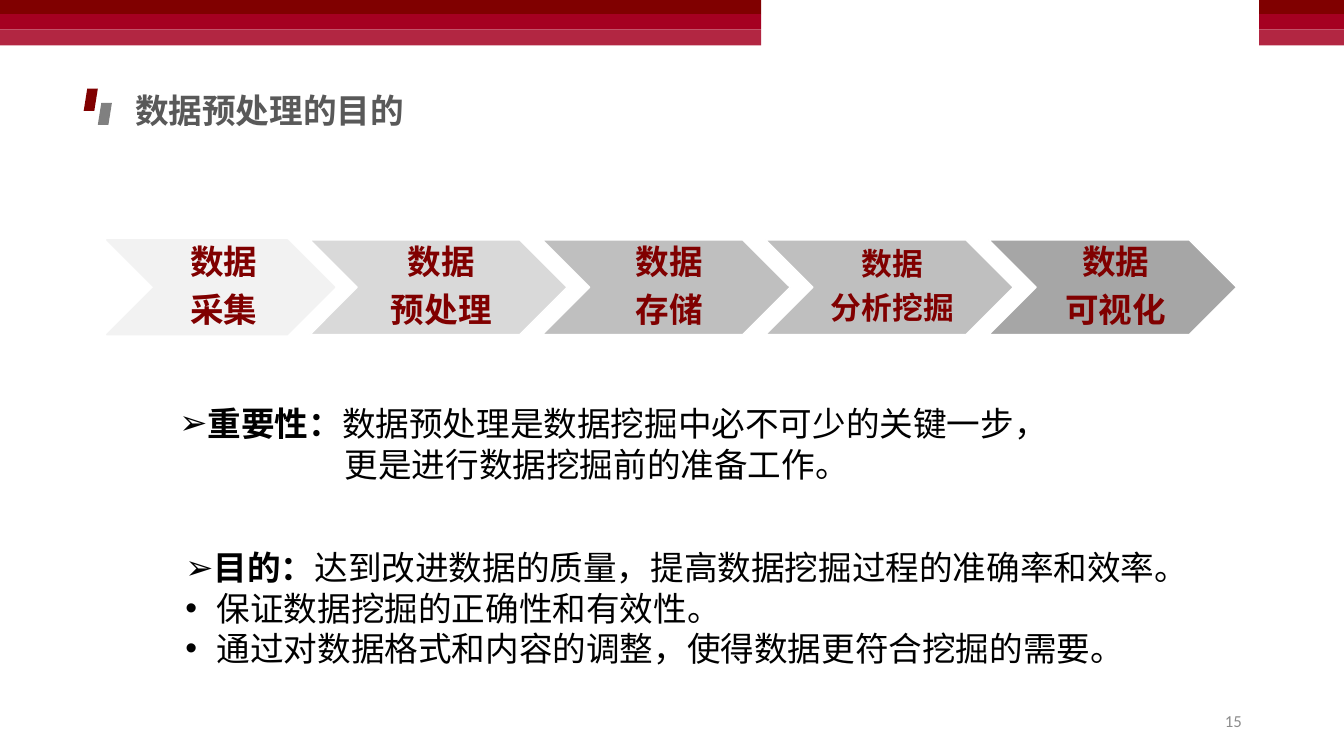
import dataclasses
import itertools
import typing

import lxml.etree
import pptx
import pptx.dml.color
import pptx.enum.lang
import pptx.enum.shapes
import pptx.enum.text
import pptx.oxml.ns
import pptx.util

SLIDE_WIDTH = pptx.util.Inches(13.333)
SLIDE_HEIGHT = pptx.util.Inches(7.5)
SHAPE = pptx.enum.shapes.MSO_SHAPE
ALIGN = pptx.enum.text.PP_ALIGN
ANCHOR = pptx.enum.text.MSO_ANCHOR
COLORS = {
    "maroon": "800000", "crimson": "A50021", "rose": "B22642",
    "gray": "808080", "heading": "595959", "number": "8C8C8C",
    "black": "000000", "white": "FFFFFF", "step1": "F2F2F2",
    "step2": "D9D9D9", "step3": "BFBFBF", "step4": "BFBFBF", "step5": "A6A6A6",
}


@dataclasses.dataclass
class Box:
    """A rectangle in percent of the slide's width and height."""
    left: float
    top: float
    width: float
    height: float

    def lengths(self) -> tuple[int, int, int, int]:
        return (round(SLIDE_WIDTH * self.left / 100),
                round(SLIDE_HEIGHT * self.top / 100),
                round(SLIDE_WIDTH * self.width / 100),
                round(SLIDE_HEIGHT * self.height / 100))


@dataclasses.dataclass
class Step:
    name: str
    width: float
    fill: str
    line: str = "white"
    size: float = 24


@dataclasses.dataclass
class Item:
    text: str
    label: str = ""
    bullet: str = ""
    margin: float = 0
    indent: float = 0


STEPS = [
    Step("采集", 16.95, "step1", line="step1"),
    Step("预处理", 19.13, "step2"),
    Step("存储", 18.45, "step3"),
    Step("分析挖掘", 18.45, "step4", size=22),
    Step("可视化", 18.45, "step5"),
]
STEP_OVERLAP = 1.84
IMPORTANCE = [
    Item("数据预处理是数据挖掘中必不可少的关键一步，", "重要性：", "➢"),
    Item("更是进行数据挖掘前的准备工作。", margin=1.64),
]
PURPOSE = [
    Item("达到改进数据的质量，提高数据挖掘过程的准确率和效率。", "目的：", "➢"),
    Item("保证数据挖掘的正确性和有效性。", bullet="•", margin=0.31, indent=-0.31),
    Item("通过对数据格式和内容的调整，使得数据更符合挖掘的需要。",
         bullet="•", margin=0.31, indent=-0.31),
]


def rgb(name: str) -> pptx.dml.color.RGBColor:
    return pptx.dml.color.RGBColor.from_string(COLORS[name])


def add_text(paragraph: typing.Any, text: str, *, size: float = 24,
             color: str = "black", bold: bool = False, font: str = "Calibri",
             align: typing.Any = ALIGN.LEFT) -> typing.Any:
    paragraph.alignment = align
    run = paragraph.add_run()
    run.text = text
    run.font.name = font
    run.font.size = pptx.util.Pt(size)
    run.font.bold = bold
    run.font.color.rgb = rgb(color)
    run.font.language_id = pptx.enum.lang.MSO_LANGUAGE_ID.SIMPLIFIED_CHINESE
    return run


def add_filled(slide: typing.Any, kind: typing.Any, box: Box, fill: str,
               line: str = "") -> typing.Any:
    shape = slide.shapes.add_shape(kind, *box.lengths())
    shape.shadow.inherit = False
    shape.fill.solid()
    shape.fill.fore_color.rgb = rgb(fill)
    if line:
        shape.line.color.rgb = rgb(line)
        shape.line.width = pptx.util.Pt(1)
    else:
        shape.line.fill.background()
    return shape


def move(shape: typing.Any, box: Box) -> None:
    shape.left, shape.top, shape.width, shape.height = box.lengths()


def set_bullet(paragraph: typing.Any, item: Item) -> None:
    properties = paragraph._p.get_or_add_pPr()
    properties.set("marL", str(pptx.util.Inches(item.margin)))
    properties.set("indent", str(pptx.util.Inches(item.indent)))
    qn = pptx.oxml.ns.qn
    if item.bullet:
        lxml.etree.SubElement(properties, qn("a:buFont"), typeface="Arial")
        lxml.etree.SubElement(properties, qn("a:buChar"), char=item.bullet)
    else:
        lxml.etree.SubElement(properties, qn("a:buNone"))


def fill_list(placeholder: typing.Any, box: Box, items: list[Item]) -> None:
    move(placeholder, box)
    frame = placeholder.text_frame
    frame.word_wrap = True
    frame.auto_size = pptx.enum.text.MSO_AUTO_SIZE.NONE
    for index, item in enumerate(items):
        paragraph = frame.add_paragraph() if index else frame.paragraphs[0]
        set_bullet(paragraph, item)
        paragraph.space_before = pptx.util.Pt(0)
        if item.label:
            add_text(paragraph, item.label, bold=True)
        add_text(paragraph, item.text)


def add_bands(slide: typing.Any) -> None:
    heights = [1.87, 2.07, 2.07]
    tops = itertools.accumulate(heights[:-1], initial=0)
    for top, height, color in zip(tops, heights, ("maroon", "crimson", "rose")):
        for left, width in ((0, 56.63), (93.68, 6.32)):
            add_filled(slide, SHAPE.RECTANGLE, Box(left, top, width, height), color)


def add_heading(slide: typing.Any) -> None:
    for index, color in enumerate(("maroon", "gray")):
        mark = Box(6.23 + 1.05 * index, 11.73 + 1.87 * index, 1.05, 2.93)
        add_filled(slide, SHAPE.PARALLELOGRAM, mark, color)
    title = slide.shapes.title
    move(title, Box(9.3, 11.2, 30.9, 6.67))
    title.text_frame.vertical_anchor = ANCHOR.MIDDLE
    title.text_frame.auto_size = pptx.enum.text.MSO_AUTO_SIZE.NONE
    run = add_text(title.text_frame.paragraphs[0], "数据预处理的目的",
                   color="heading", bold=True, font="Noto Sans CJK SC")
    lxml.etree.SubElement(run.font._element, pptx.oxml.ns.qn("a:ea"),
                          typeface="Noto Sans CJK SC")


def add_steps(slide: typing.Any) -> None:
    left = 7.95
    for step in STEPS:
        chevron = add_filled(slide, SHAPE.CHEVRON, Box(left, 31.73, step.width, 12.53),
                             step.fill, step.line)
        frame = chevron.text_frame
        frame.word_wrap = True
        frame.vertical_anchor = ANCHOR.MIDDLE
        frame.margin_left = pptx.util.Inches(0.1)
        frame.margin_right = frame.margin_top = frame.margin_bottom = pptx.util.Inches(0.04)
        for paragraph, text in ((frame.paragraphs[0], "数据"),
                                (frame.add_paragraph(), step.name)):
            paragraph.line_spacing = 0.9
            paragraph.space_after = pptx.util.Pt(step.size * 0.35)
            add_text(paragraph, text, size=step.size, color="maroon", bold=True,
                     align=ALIGN.CENTER)
        left += step.width - STEP_OVERLAP


def add_slide_number(slide: typing.Any) -> None:
    frame = slide.shapes.add_textbox(*Box(70.65, 92.67, 22.5, 5.33).lengths()).text_frame
    frame.word_wrap = True
    frame.vertical_anchor = ANCHOR.MIDDLE
    add_text(frame.paragraphs[0], "15", size=12, color="number", align=ALIGN.RIGHT)


def main() -> None:
    presentation = pptx.Presentation()
    presentation.slide_width = SLIDE_WIDTH
    presentation.slide_height = SLIDE_HEIGHT
    two_content = presentation.slide_layouts.get_by_name("Two Content")
    slide = presentation.slides.add_slide(two_content)
    add_bands(slide)
    add_heading(slide)
    add_steps(slide)
    fill_list(slide.placeholders[1], Box(12.6, 52.67, 66.68, 12.13), IMPORTANCE)
    fill_list(slide.placeholders[2], Box(13.05, 71.73, 76.8, 17.6), PURPOSE)
    add_slide_number(slide)
    presentation.save("out.pptx")


if __name__ == "__main__":
    main()
